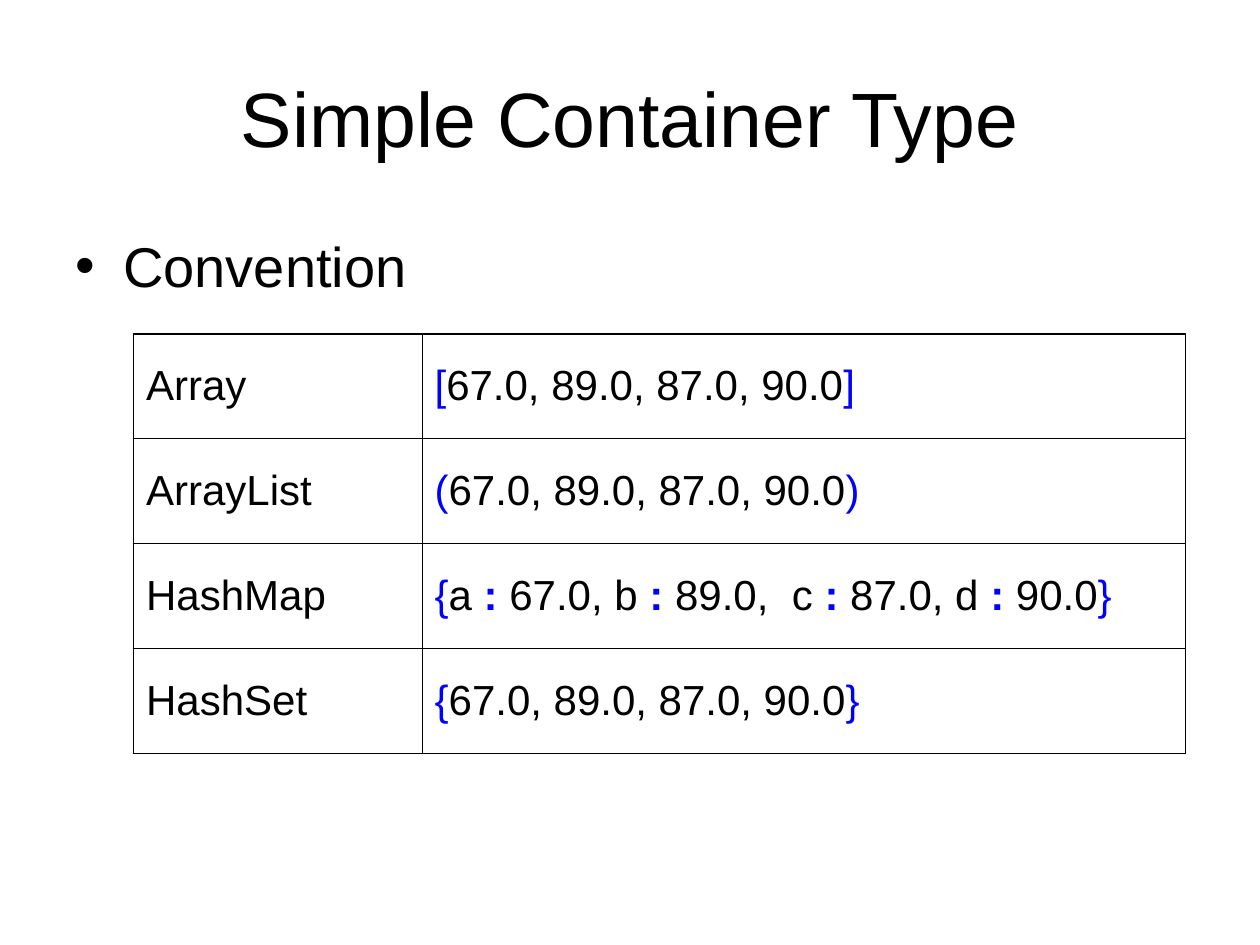
from itertools import groupby

from lxml.etree import SubElement
from pptx import Presentation
from pptx.dml.color import RGBColor
from pptx.enum.text import MSO_ANCHOR as ANCHOR, PP_ALIGN as ALIGN
from pptx.oxml import parse_xml
from pptx.oxml.ns import nsdecls, qn
from pptx.util import Inches, Pt

COLORS = {"text": "000000", "syntax": "0000FF", "border": "000000"}
SYNTAX = "[](){}:"
OUTER, INNER = 1.08, 0.45


def write(frame, text, size, align=ALIGN.LEFT, anchor=ANCHOR.TOP, bullet=None):
    """Write one paragraph, with container syntax in its own colour."""
    frame.word_wrap = True
    frame.vertical_anchor = anchor
    line = frame.paragraphs[0]
    line.alignment = align
    if bullet:
        props = line._p.get_or_add_pPr()
        props.set("marL", str(Inches(0.38)))
        props.set("indent", str(-Inches(0.38)))
        SubElement(props, qn("a:buFont"), typeface="Arial")
        SubElement(props, qn("a:buChar"), char=bullet)
    for is_syntax, chars in groupby(text, key=lambda char: char in SYNTAX):
        run = line.add_run()
        run.text = "".join(chars)
        run.font.name = "Arial"
        run.font.size = Pt(size)
        run.font.bold = run.text == ":"
        color = COLORS["syntax" if is_syntax else "text"]
        run.font.color.rgb = RGBColor.from_string(color)


def set_borders(cell, widths):
    """Draw the left, right, top and bottom borders, widths in points."""
    props = cell._tc.get_or_add_tcPr()
    for place, (side, width) in enumerate(zip("LRTB", widths)):
        props.insert(place, parse_xml(
            f'<a:ln{side} {nsdecls("a")} w="{Pt(width)}"><a:solidFill>'
            f'<a:srgbClr val="{COLORS["border"]}"/></a:solidFill></a:ln{side}>'))


deck = Presentation()
deck.slide_width, deck.slide_height = Inches(10), Inches(7.5)
slide = deck.slides.add_slide(deck.slide_layouts[6])

# Title and bullet
title = slide.shapes.add_textbox(Inches(0.5), Inches(0.3), Inches(9), Inches(1.25))
write(title.text_frame, "Simple Container Type", size=44,
      align=ALIGN.CENTER, anchor=ANCHOR.MIDDLE)
convention = slide.shapes.add_textbox(Inches(0.5), Inches(1.79), Inches(9), Inches(2.35))
write(convention.text_frame, "Convention", size=32, bullet="•")

# Table of container types and their notation
containers = [
    ("Array", "[67.0, 89.0, 87.0, 90.0]"),
    ("ArrayList", "(67.0, 89.0, 87.0, 90.0)"),
    ("HashMap", "{a : 67.0, b : 89.0,  c : 87.0, d : 90.0}"),
    ("HashSet", "{67.0, 89.0, 87.0, 90.0}"),
]
notation = slide.shapes.add_table(
    len(containers), 2, Inches(1.06), Inches(2.65), Inches(8.35), Inches(3.33)).table
notation.first_row = notation.horz_banding = False
for column, width in zip(notation.columns, (2.29, 6.06)):
    column.width = Inches(width)

last_row, last_col = len(containers) - 1, 1
for r, container in enumerate(containers):
    for c, text in enumerate(container):
        cell = notation.cell(r, c)
        cell.fill.background()
        cell.vertical_anchor = ANCHOR.MIDDLE
        write(cell.text_frame, text, size=24)
        on_edge = (c == 0, c == last_col, r == 0, r == last_row)
        set_borders(cell, [OUTER if edge else INNER for edge in on_edge])

deck.save("out.pptx")
